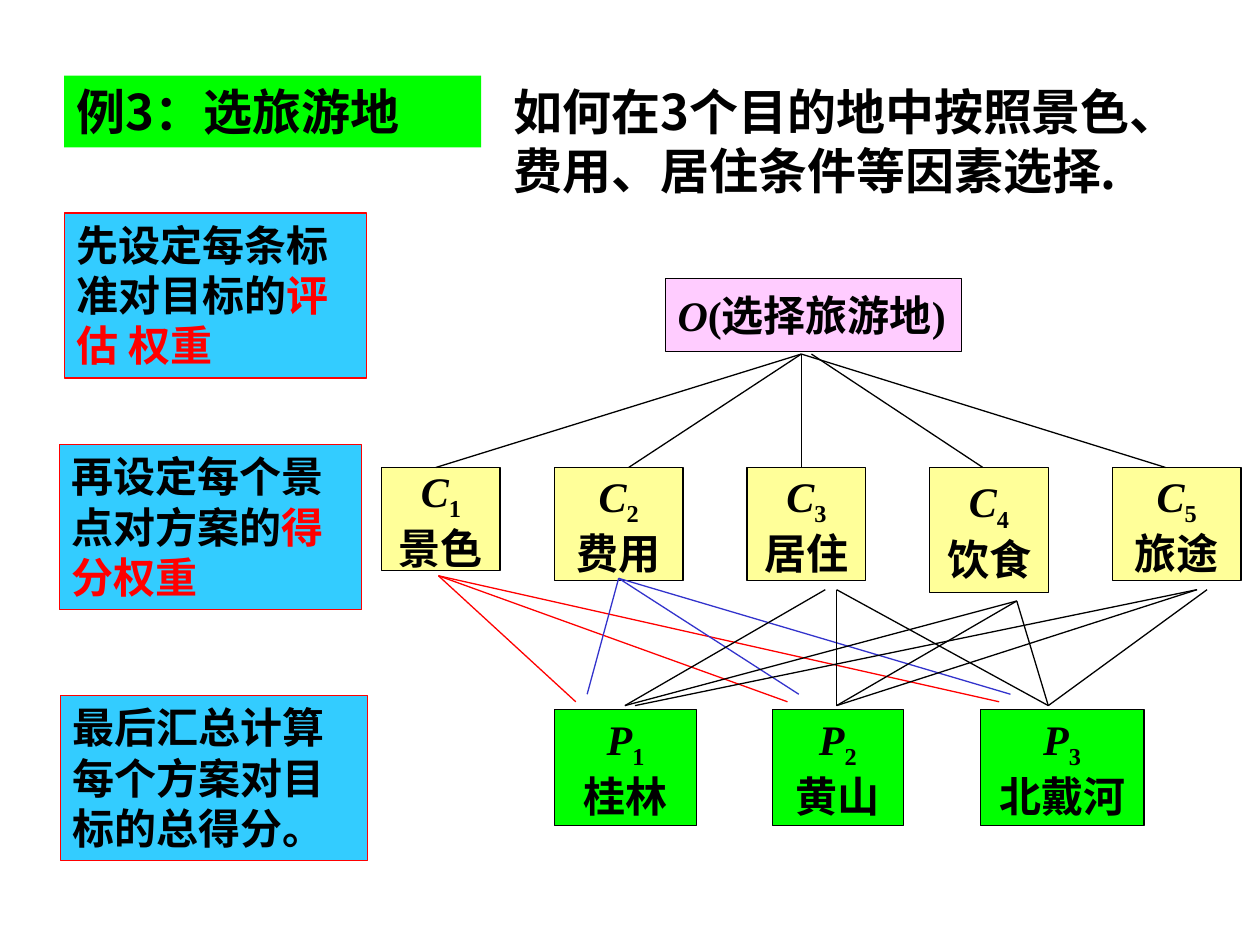
from dataclasses import dataclass

from lxml import etree
from pptx import Presentation
from pptx.dml.color import RGBColor
from pptx.enum.shapes import MSO_CONNECTOR, MSO_SHAPE
from pptx.enum.text import MSO_ANCHOR, PP_ALIGN
from pptx.oxml.ns import qn
from pptx.util import Inches, Pt

RECT = MSO_SHAPE.RECTANGLE
LINE = MSO_CONNECTOR.STRAIGHT
MID, TOP = MSO_ANCHOR.MIDDLE, MSO_ANCHOR.TOP
LEFT, MIDST = PP_ALIGN.LEFT, PP_ALIGN.CENTER

WIDE, HIGH = Inches(10), Inches(7.5)
COLS, ROWS = 100, 75  # grid of the slide
STEP = 16.8  # columns between the feet of a fan


@dataclass(frozen=True)
class Theme:
    ink: str = "000000"
    red: str = "FF0000"
    blue: str = "3333CC"
    sky: str = "33CCFF"
    green: str = "00FF00"
    pink: str = "FFCCFF"
    cream: str = "FFFF99"
    serif: str = "Times New Roman"
    sans: str = "Noto Sans CJK SC"
    head: float = 28
    body: float = 24
    rule: float = 0.75


T = Theme()


def rgb(code):
    return RGBColor.from_string(code)


def x(col):
    return round(WIDE * col / COLS)


def y(row):
    return round(HIGH * row / ROWS)


def style(para, size=T.body, face=T.serif, align=LEFT):
    para.alignment = align
    font = para.font
    font.size, font.name, font.bold = Pt(size), face, True
    font.color.rgb = rgb(T.ink)


def add_run(para, text):
    run = para.add_run()
    run.text = text
    return run


def box(slide, at, fill, line=None, wrap=True, anchor=TOP):
    """Add a filled box and return its text frame."""
    left, top, wide, high = at
    shape = slide.shapes.add_shape(RECT, x(left), y(top), x(wide), y(high))
    shape.shadow.inherit = False
    shape.fill.solid()
    shape.fill.fore_color.rgb = rgb(fill)
    if line:
        shape.line.color.rgb = rgb(line)
        shape.line.width = Pt(T.rule)
    else:
        shape.line.fill.background()
    frame = shape.text_frame
    frame.word_wrap, frame.vertical_anchor = wrap, anchor
    return frame


def note(slide, at, text, stress=""):
    """Add a blue step box whose last words may be red."""
    para = box(slide, at, T.sky, T.red).paragraphs[0]
    style(para)
    add_run(para, text)
    if stress:
        add_run(para, stress).font.color.rgb = rgb(T.red)


def node(slide, at, fill, sign, num, name):
    """Add a box with an indexed symbol above a name."""
    frame = box(slide, at, fill, T.ink, False, MID)
    first, last = frame.paragraphs[0], frame.add_paragraph()
    for para in (first, last):
        style(para, align=MIDST)
    add_run(first, sign).font.italic = True
    sub = add_run(first, str(num))
    sub.font._element.set("baseline", "-25000")
    add_run(last, name)


def edge(slide, start, end, color=T.ink):
    (left, top), (right, foot) = start, end
    line = slide.shapes.add_connector(LINE, x(left), y(top), x(right), y(foot))
    line.line.color.rgb = rgb(color)
    line.line.width = Pt(T.rule)
    etree.SubElement(line._element.spPr, qn("a:effectLst"))


def fan(slide, start, foot, color=T.ink):
    """Join one point to three feet in equal steps."""
    for i in range(3):
        edge(slide, start, (foot[0] + i * STEP, foot[1]), color)


def header(slide):
    para = box(slide, (5.1, 6, 33.1, 5.7), T.green).paragraphs[0]
    style(para, T.head, T.sans)
    add_run(para, "例3：选旅游地")
    text = slide.shapes.add_textbox(x(39.8), y(6), x(56.4), y(10.3))
    text.text_frame.word_wrap = True
    para = text.text_frame.paragraphs[0]
    style(para, T.head, T.sans)
    add_run(para, "如何在3个目的地中按照景色、费用、居住条件等因素选择.")


def goal(slide):
    at = (52.8, 22.1, 23.5, 5.8)
    para = box(slide, at, T.pink, T.ink, False, MID).paragraphs[0]
    style(para)
    add_run(para, "O").font.italic = True
    add_run(para, "(选择旅游地)")


def nodes(slide):
    rules = [("景色", 30.3, 9.4, 8.2), ("费用", 44, 10.2, 9),
             ("居住", 59.3, 9.4, 9), ("饮食", 73.8, 9.4, 9.9),
             ("旅途", 88.3, 10.2, 9)]
    for num, (name, left, wide, high) in enumerate(rules, 1):
        node(slide, (left, 37.1, wide, high), T.cream, "C", num, name)
    spots = [("桂林", 44, 11.3), ("黄山", 61.3, 10.4), ("北戴河", 77.8, 13)]
    for num, (name, left, wide) in enumerate(spots, 1):
        node(slide, (left, 56.3, wide, 9.2), T.green, "P", num, name)


def edges(slide):
    for top, foot in [(63.6, 34.6), (63.6, 49.9), (63.6, 63.6),
                      (64.4, 78), (63.6, 92.5)]:
        edge(slide, (top, 28.1), (foot, 37.1))
    fan(slide, (34.8, 45.7), (45.7, 55.7), T.red)
    fan(slide, (49.1, 45.9), (46.6, 55.1), T.blue)
    fan(slide, (80.7, 47.7), (49.6, 56))
    for top, foot in [(65.5, 49.6), (66.4, 66.4), (66.4, 83.2),
                      (95, 50.4), (95, 66.4), (95.8, 83.2)]:
        edge(slide, (top, 46.8), (foot, 56))


def main():
    deck = Presentation()
    deck.slide_width, deck.slide_height = WIDE, HIGH
    slide = deck.slides.add_slide(deck.slide_layouts[6])
    header(slide)
    note(slide, (5.1, 16.9, 24, 13.1), "先设定每条标准对目标的", "评估 权重")
    note(slide, (4.7, 35.3, 24, 13.1), "再设定每个景点对方案的", "得分权重")
    note(slide, (4.8, 55.2, 24.4, 13.1), "最后汇总计算每个方案对目标的总得分。")
    goal(slide)
    nodes(slide)
    edges(slide)
    deck.save("out.pptx")


if __name__ == "__main__":
    main()
